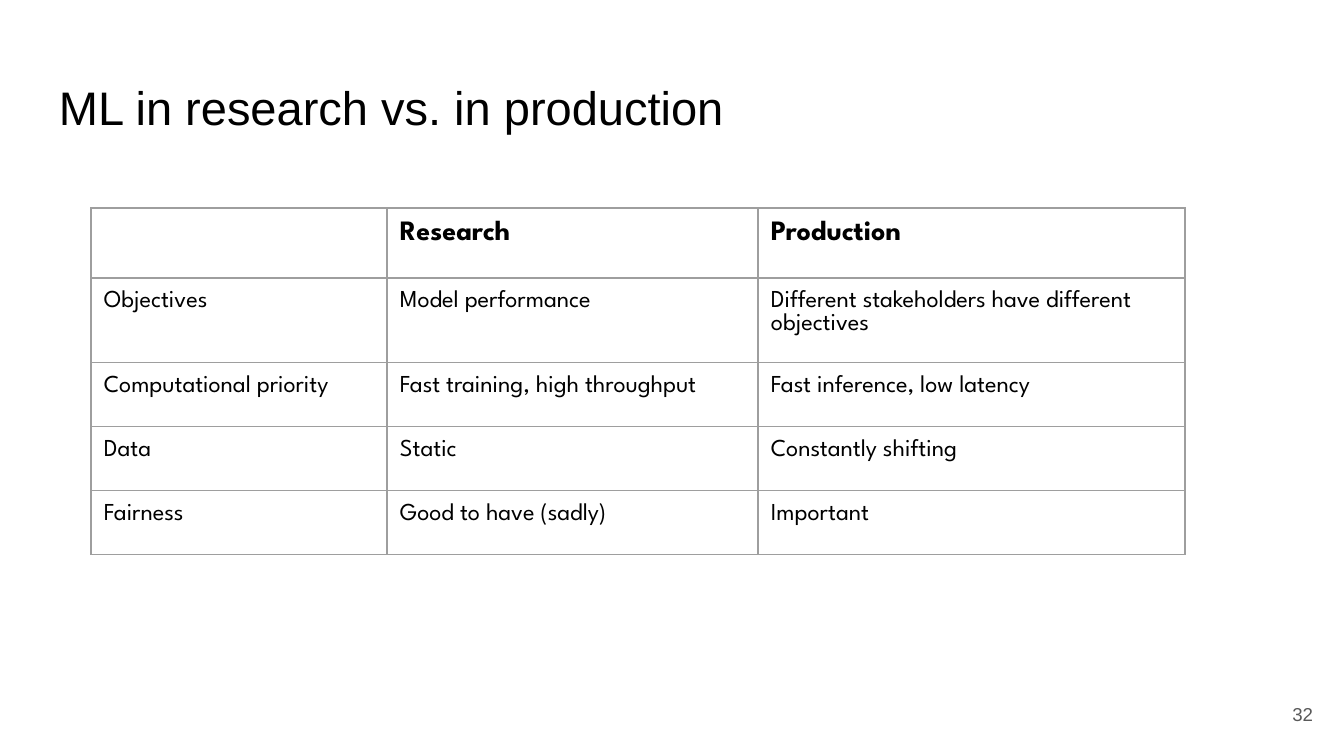
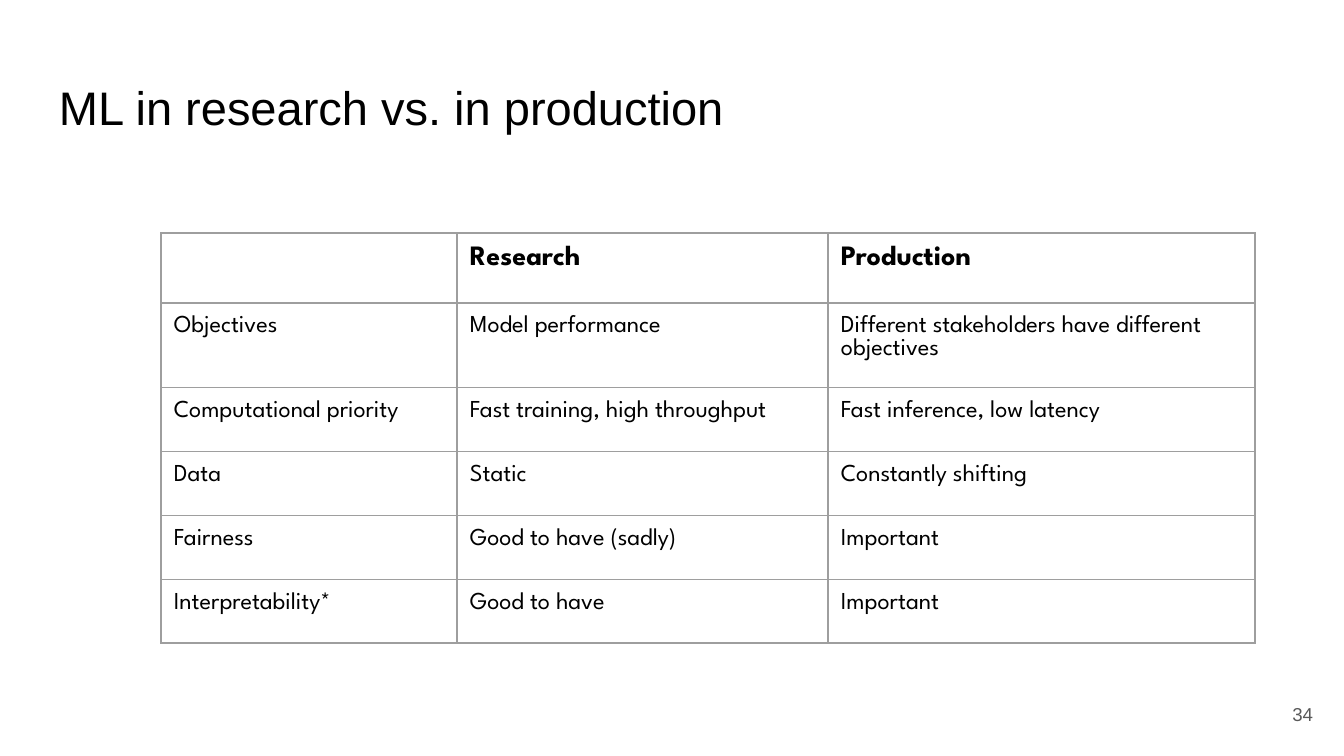
from dataclasses import dataclass

from lxml.etree import SubElement
from pptx import Presentation
from pptx.dml.color import RGBColor
from pptx.enum.text import MSO_ANCHOR, PP_ALIGN
from pptx.oxml.ns import qn
from pptx.util import Pt

EMU_PER_PX = 914400 / 134.4


def px(length):
    return round(length * EMU_PER_PX)


@dataclass(frozen=True)
class Theme:
    background: str = "FFFFFF"
    ink: str = "000000"
    muted: str = "595959"
    grid: str = "9E9E9E"
    heading_font: str = "Arial"
    table_font: str = "League Spartan"
    title_size: float = 25.2
    header_size: float = 15
    body_size: float = 13
    number_size: float = 10
    grid_width: float = 0.75
    inset: int = 13


THEME = Theme()
SLIDE_SIZE = (1344, 756)
TITLE_BOX = (46, 66, 1252, 85)
NUMBER_BOX = (1246, 685, 80, 58)
COLUMN_WIDTHS = (296, 371, 427)
HEADER_HEIGHT, ROW_HEIGHT = 70, 64

TITLE = "ML in research vs. in production"
COMPARISON = [
    ("", "Research", "Production"),
    ("Objectives", "Model performance", "Different stakeholders have different objectives"),
    ("Computational priority", "Fast training, high throughput", "Fast inference, low latency"),
    ("Data", "Static", "Constantly shifting"),
    ("Fairness", "Good to have (sadly)", "Important"),
]
INTERPRETABILITY = ("Interpretability*", "Good to have", "Important")

# Page number, table corner and table rows of each slide
SLIDES = [
    (32, (91, 208), COMPARISON),
    (34, (161, 233), COMPARISON + [INTERPRETABILITY]),
]


def set_attributes(target, values):
    for name, value in values.items():
        setattr(target, name, value)


def set_margins(target):
    sides = ("left", "top", "right", "bottom")
    set_attributes(target, {f"margin_{side}": px(THEME.inset) for side in sides})


def write_text(text_frame, text, color, alignment=PP_ALIGN.LEFT, **font_values):
    paragraph = text_frame.paragraphs[0]
    paragraph.alignment = alignment
    run = paragraph.add_run()
    run.text = text
    set_attributes(run.font, font_values)
    run.font.color.rgb = RGBColor.from_string(color)


def add_text_box(slide, box, anchor, text, color, **text_values):
    text_frame = slide.shapes.add_textbox(*map(px, box)).text_frame
    set_margins(text_frame)
    set_attributes(text_frame, {"word_wrap": True, "vertical_anchor": anchor})
    write_text(text_frame, text, color, name=THEME.heading_font, **text_values)


def add_title(slide, box):
    add_text_box(slide, box, MSO_ANCHOR.TOP, TITLE, THEME.ink,
                 size=Pt(THEME.title_size))


def add_page_number(slide, box, number):
    add_text_box(slide, box, MSO_ANCHOR.MIDDLE, str(number), THEME.muted,
                 alignment=PP_ALIGN.RIGHT, size=Pt(THEME.number_size))


def format_cell(cell):
    set_margins(cell)
    cell.vertical_anchor = MSO_ANCHOR.TOP
    properties = cell._tc.get_or_add_tcPr()
    for side in ("lnL", "lnR", "lnT", "lnB"):
        line = SubElement(properties, qn(f"a:{side}"), w=str(Pt(THEME.grid_width)))
        fill = SubElement(line, qn("a:solidFill"))
        SubElement(fill, qn("a:srgbClr"), val=THEME.grid)
    cell.fill.background()


def add_comparison_table(slide, corner, rows):
    heights = [HEADER_HEIGHT] + [ROW_HEIGHT] * (len(rows) - 1)
    box = (*corner, sum(COLUMN_WIDTHS), sum(heights))
    table = slide.shapes.add_table(len(rows), len(COLUMN_WIDTHS), *map(px, box)).table
    set_attributes(table, {"first_row": False, "horz_banding": False})
    for column, width in zip(table.columns, COLUMN_WIDTHS):
        column.width = px(width)
    for row_index, (row, height, texts) in enumerate(zip(table.rows, heights, rows)):
        row.height = px(height)
        is_header = row_index == 0
        size = THEME.header_size if is_header else THEME.body_size
        for cell, text in zip(row.cells, texts):
            format_cell(cell)
            if text:
                write_text(cell.text_frame, text, THEME.ink, name=THEME.table_font,
                           size=Pt(size), bold=is_header)


def add_comparison_slide(presentation, number, corner, rows):
    slide = presentation.slides.add_slide(presentation.slide_layouts[6])
    slide.background.fill.solid()
    slide.background.fill.fore_color.rgb = RGBColor.from_string(THEME.background)
    add_page_number(slide, NUMBER_BOX, number)
    add_comparison_table(slide, corner, rows)
    add_title(slide, TITLE_BOX)


def main():
    presentation = Presentation()
    presentation.slide_width, presentation.slide_height = map(px, SLIDE_SIZE)
    for number, corner, rows in SLIDES:
        add_comparison_slide(presentation, number, corner, rows)
    presentation.save("out.pptx")


if __name__ == "__main__":
    main()
